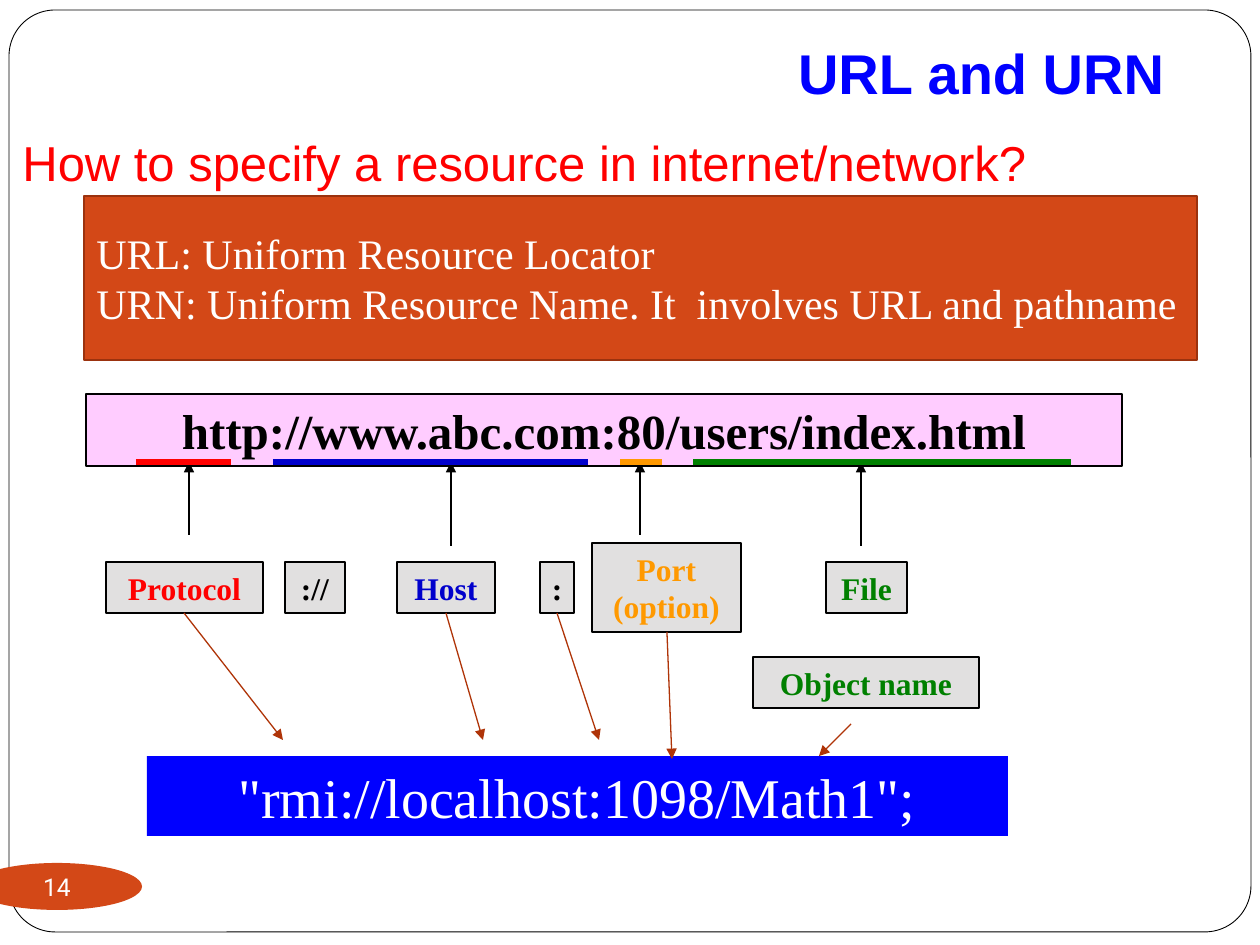
from lxml import etree
from pptx import Presentation
from pptx.dml.color import RGBColor
from pptx.enum.shapes import MSO_CONNECTOR, MSO_SHAPE
from pptx.enum.text import MSO_ANCHOR, PP_ALIGN
from pptx.oxml.ns import qn
from pptx.util import Pt

PX = 914400 / 126
RECT, ROUND, OVAL = MSO_SHAPE.RECTANGLE, MSO_SHAPE.ROUNDED_RECTANGLE, MSO_SHAPE.OVAL
STRAIGHT = MSO_CONNECTOR.STRAIGHT
TOP, MIDDLE, BOTTOM = MSO_ANCHOR.TOP, MSO_ANCHOR.MIDDLE, MSO_ANCHOR.BOTTOM
LEFT, CENTER, RIGHT = PP_ALIGN.LEFT, PP_ALIGN.CENTER, PP_ALIGN.RIGHT
SERIF, SANS = "Times New Roman", "Arial"
COLORS = {
    "white": "FFFFFF", "black": "000000", "red": "FF0000", "blue": "0000FF",
    "navy": "0000CC", "orange": "FF9900", "green": "008000", "pink": "FFCCFF",
    "gray": "E1E0E0", "rust": "D34817", "rust edge": "9B320E", "rust arrow": "AF3408",
}

prs = Presentation()
prs.slide_width, prs.slide_height = round(1260 * PX), round(945 * PX)
s = prs.slides.add_slide(prs.slide_layouts[6])


def add_box(at, text="", size=18, color="black", fill=None, line=None, width=0.75,
            kind=RECT, font=SERIF, bold=False, align=CENTER, anchor=MIDDLE, wrap=True):
    """Add a shape, or a text box when it has no fill, with one paragraph per text line."""
    at = [round(v * PX) for v in at]
    if fill:
        sp = s.shapes.add_shape(kind, *at)
        sp.shadow.inherit = False
        sp.fill.solid()
        sp.fill.fore_color.rgb = RGBColor.from_string(COLORS[fill])
        if line:
            sp.line.color.rgb = RGBColor.from_string(COLORS[line])
            sp.line.width = Pt(width)
        else:
            sp.line.fill.background()
    else:
        sp = s.shapes.add_textbox(*at)
    tf = sp.text_frame
    tf.word_wrap = wrap
    tf.vertical_anchor = anchor
    if text:
        tf.text = text
        for p in tf.paragraphs:
            p.alignment = align
            p.font.name, p.font.size, p.font.bold = font, Pt(size), bold
            p.font.color.rgb = RGBColor.from_string(COLORS[color])
    return sp


def add_line(ends, color, width=0.75, arrow=True):
    c = s.shapes.add_connector(STRAIGHT, *[round(v * PX) for v in ends])
    c.line.color.rgb = RGBColor.from_string(COLORS[color])
    c.line.width = Pt(width)
    if arrow:
        etree.SubElement(c.line._get_or_add_ln(), qn("a:tailEnd"), type="triangle")
    etree.SubElement(c._element.spPr, qn("a:effectLst"))


frame = add_box((9, 10, 1242, 922), fill="white", line="black", width=0.5, kind=ROUND)
frame.adjustments[0] = 0.05

add_box((10, 126, 1229, 72), "How to specify a resource in internet/network?", 28, "red",
        font=SANS, align=LEFT, anchor=TOP)

# The address, its underlined parts and the arrows up to them
add_box((86, 394, 1036, 72), "http://www.abc.com:80/users/index.html", 28, fill="pink",
        line="black", bold=True, wrap=False)
URL_BOTTOM = 462
url_parts = [  # left, right, arrow x, arrow start y, color
    (136, 231, 189, 535, "red"),
    (273, 588, 451, 546, "navy"),
    (620, 662, 640, 535, "orange"),
    (693, 1071, 861, 546, "green"),
]
for left, right, x, y, color in url_parts:
    add_line((x, y, x, URL_BOTTOM), "black")
for left, right, x, y, color in url_parts:
    add_line((left, URL_BOTTOM, right, URL_BOTTOM), color, 3, arrow=False)

labels = [
    ((106, 562, 157, 51), "Protocol", "red"),
    ((285, 562, 60, 51), "://", "black"),
    ((397, 562, 98, 51), "Host", "navy"),
    ((540, 562, 34, 51), ":", "black"),
    ((592, 543, 149, 89), "Port\n(option)", "orange"),
    ((826, 562, 81, 51), "File", "green"),
    ((753, 657, 226, 51), "Object name", "green"),
]
for at, text, color in labels:
    add_box(at, text, color=color, fill="gray", line="black", bold=True, wrap=False)

add_box((84, 196, 1113, 164),
        "URL: Uniform Resource Locator\nURN: Uniform Resource Name. It  involves URL and pathname",
        24, "white", fill="rust", line="rust edge", width=1, align=LEFT)

number = add_box((-28, 863, 170, 47), "14", 14, "white", fill="rust", kind=OVAL,
                 font="Roboto", wrap=False)
tf = number.text_frame
tf.margin_left = tf.margin_right = tf.margin_top = tf.margin_bottom = 0

# The RMI name and the arrows down to its parts
add_box((147, 756, 861, 80), '"rmi://localhost:1098/Math1";', 32, "white", fill="blue",
        anchor=TOP)
for ends in [(184, 613, 283, 740), (446, 613, 483, 740), (557, 613, 599, 740),
             (667, 632, 672, 759), (851, 724, 819, 756)]:
    add_line(ends, "rust arrow")

title = add_box((116, 32, 1061, 87), "URL and URN", 32, "blue", font=SANS, bold=True,
                align=RIGHT, anchor=BOTTOM)
title.text_frame.margin_bottom = round(13 * PX)

prs.save("out.pptx")
